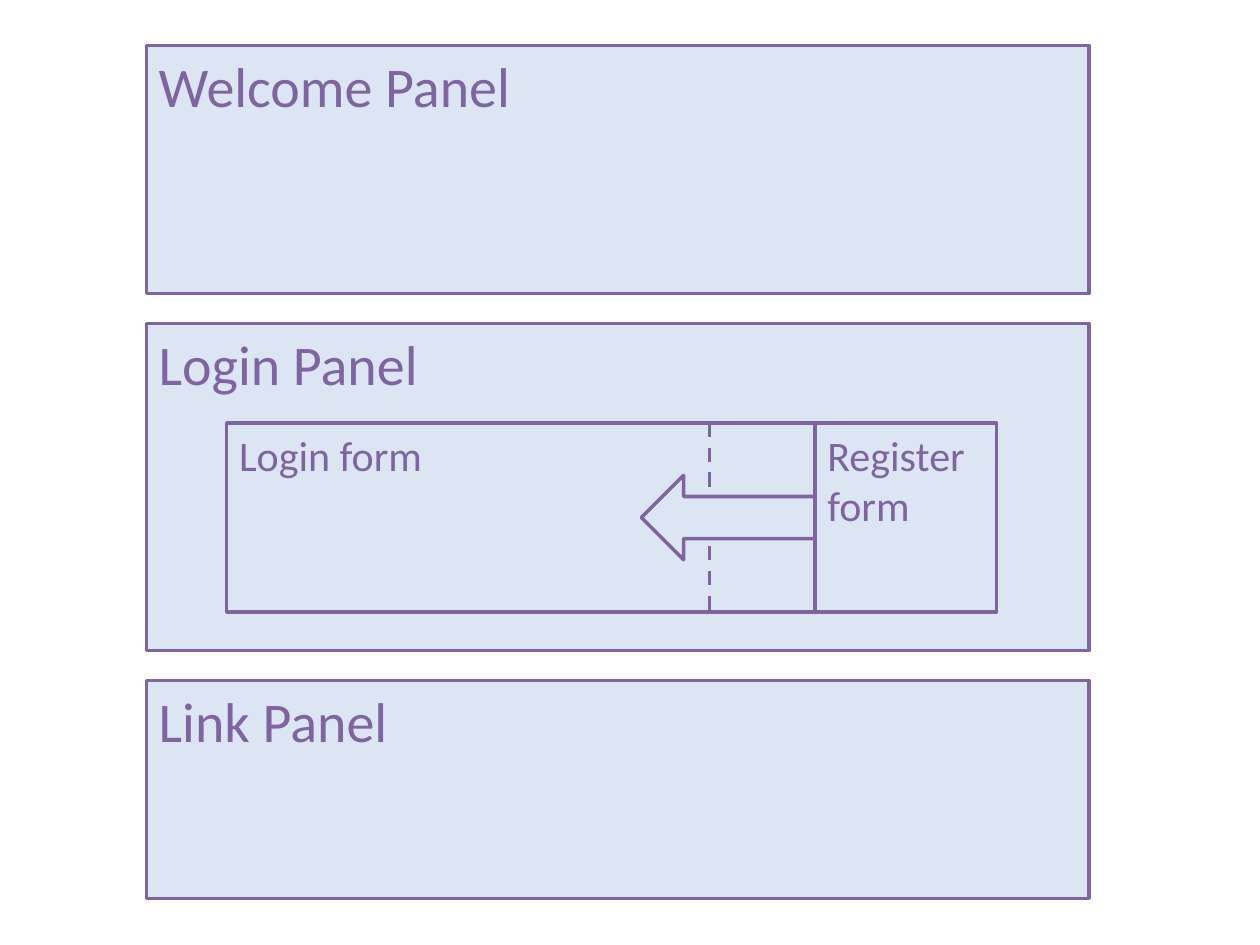
from pptx import Presentation
from pptx.dml.color import RGBColor
from pptx.enum.dml import MSO_LINE
from pptx.enum.shapes import MSO_CONNECTOR, MSO_SHAPE
from pptx.enum.text import MSO_ANCHOR, PP_ALIGN
from pptx.oxml.ns import qn
from pptx.util import Cm, Pt
from lxml import etree

RECTANGLE = MSO_SHAPE.RECTANGLE
LEFT_ARROW = MSO_SHAPE.LEFT_ARROW
STRAIGHT = MSO_CONNECTOR.STRAIGHT
DASH = MSO_LINE.DASH
TOP = MSO_ANCHOR.TOP
LEFT = PP_ALIGN.LEFT

PURPLE = "8064A2"
PALE_BLUE = "DCE6F2"
FONT = "Calibri"

PANEL_LEFT, PANEL_WIDTH = 2.95, 19
FIRST_PANEL_TOP, PANEL_GAP = 0.92, 0.6
PANELS = [("Welcome Panel", 5), ("Login Panel", 6.6), ("Link Panel", 4.39)]

FORM_TOP, FORM_HEIGHT = 8.53, 3.81
LOGIN_LEFT, LOGIN_WIDTH = 4.57, 11.86
REGISTER_LEFT, REGISTER_WIDTH = LOGIN_LEFT + LOGIN_WIDTH, 3.66
DIVIDER_X = 14.3
ARROW_WIDTH, ARROW_HEIGHT = 3.5, 1.7


def color(hex_code):
    return RGBColor.from_string(hex_code)


def style_line(line):
    line.color.rgb = color(PURPLE)
    line.width = Pt(2)


def add_outlined(slide, kind, left, top, width, height):
    """Add a pale blue shape with a purple outline; lengths in cm."""
    shape = slide.shapes.add_shape(kind, Cm(left), Cm(top), Cm(width), Cm(height))
    shape.shadow.inherit = False
    shape.fill.solid()
    shape.fill.fore_color.rgb = color(PALE_BLUE)
    style_line(shape.line)
    return shape


def add_titled_box(slide, title, size, left, top, width, height):
    frame = add_outlined(slide, RECTANGLE, left, top, width, height).text_frame
    frame.text = title
    frame.word_wrap = True
    frame.vertical_anchor = TOP
    paragraph = frame.paragraphs[0]
    paragraph.alignment = LEFT
    font = paragraph.runs[0].font
    font.name = FONT
    font.size = Pt(size)
    font.color.rgb = color(PURPLE)


def add_dashed_divider(slide, x, top, height):
    divider = slide.shapes.add_connector(
        STRAIGHT, Cm(x), Cm(top), Cm(x), Cm(top + height))
    style_line(divider.line)
    divider.line.dash_style = DASH
    etree.SubElement(divider._element.spPr, qn("a:effectLst"))


def add_panels(slide):
    top = FIRST_PANEL_TOP
    for title, height in PANELS:
        add_titled_box(slide, title, 32, PANEL_LEFT, top, PANEL_WIDTH, height)
        top += height + PANEL_GAP


def add_forms(slide):
    add_titled_box(slide, "Login form", 24,
                   LOGIN_LEFT, FORM_TOP, LOGIN_WIDTH, FORM_HEIGHT)
    add_titled_box(slide, "Register form", 24,
                   REGISTER_LEFT, FORM_TOP, REGISTER_WIDTH, FORM_HEIGHT)
    add_dashed_divider(slide, DIVIDER_X, FORM_TOP, FORM_HEIGHT)
    add_outlined(slide, LEFT_ARROW, REGISTER_LEFT - ARROW_WIDTH,
                 FORM_TOP + (FORM_HEIGHT - ARROW_HEIGHT) / 2,
                 ARROW_WIDTH, ARROW_HEIGHT)


def main():
    deck = Presentation()
    deck.slide_width, deck.slide_height = Cm(25.4), Cm(19.05)
    slide = deck.slides.add_slide(deck.slide_layouts[6])
    add_panels(slide)
    add_forms(slide)
    deck.save("out.pptx")


if __name__ == "__main__":
    main()
